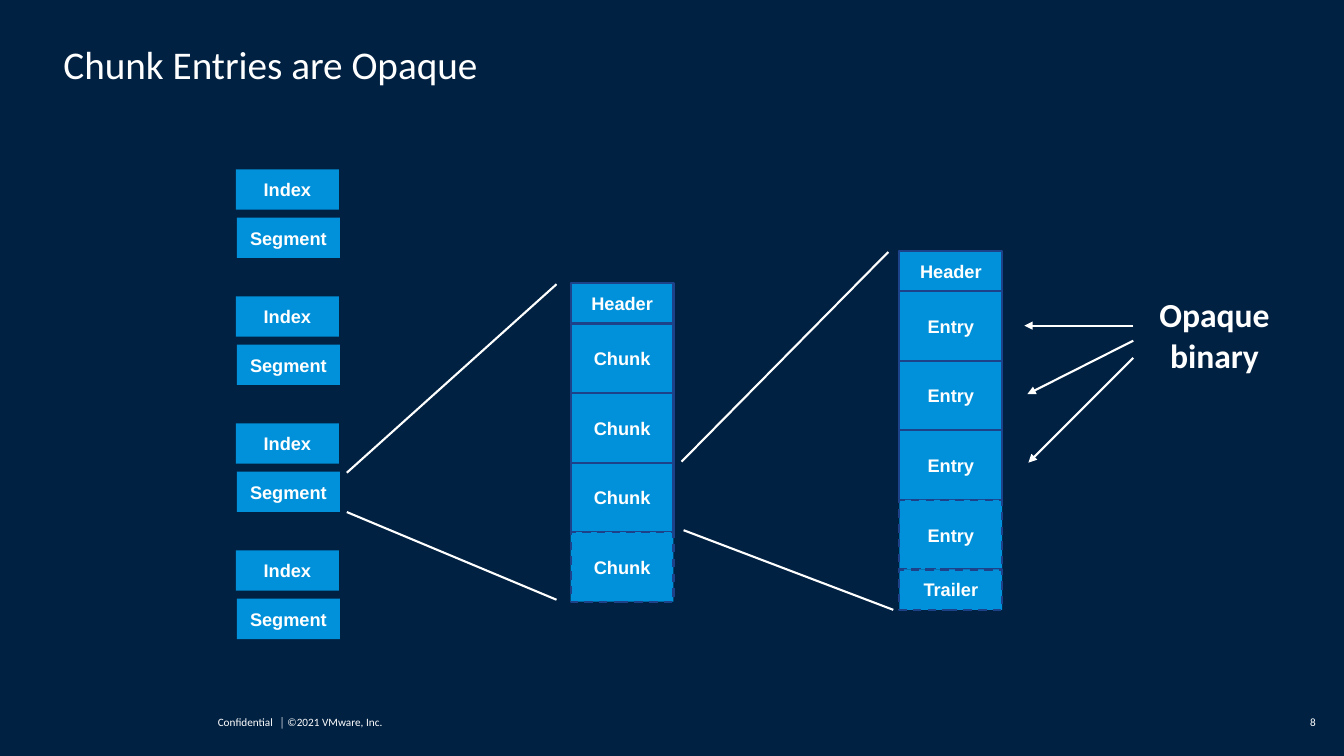
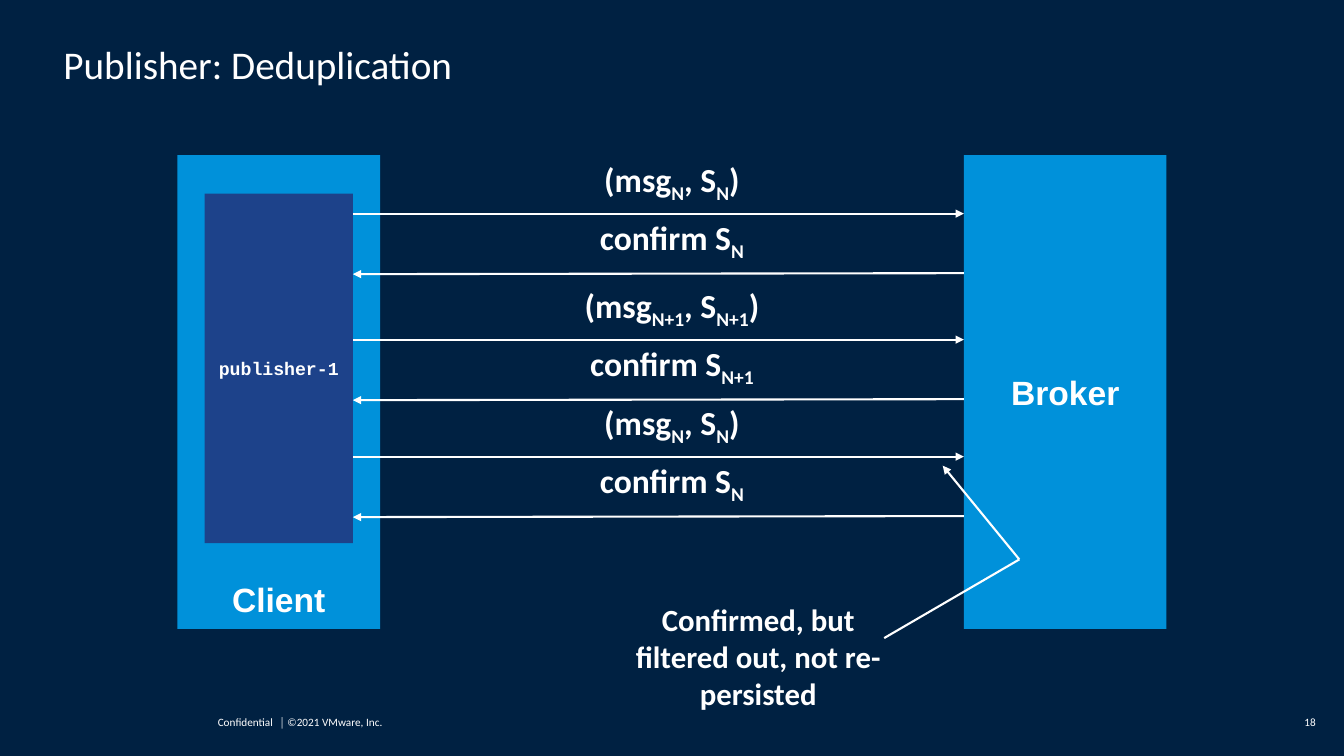
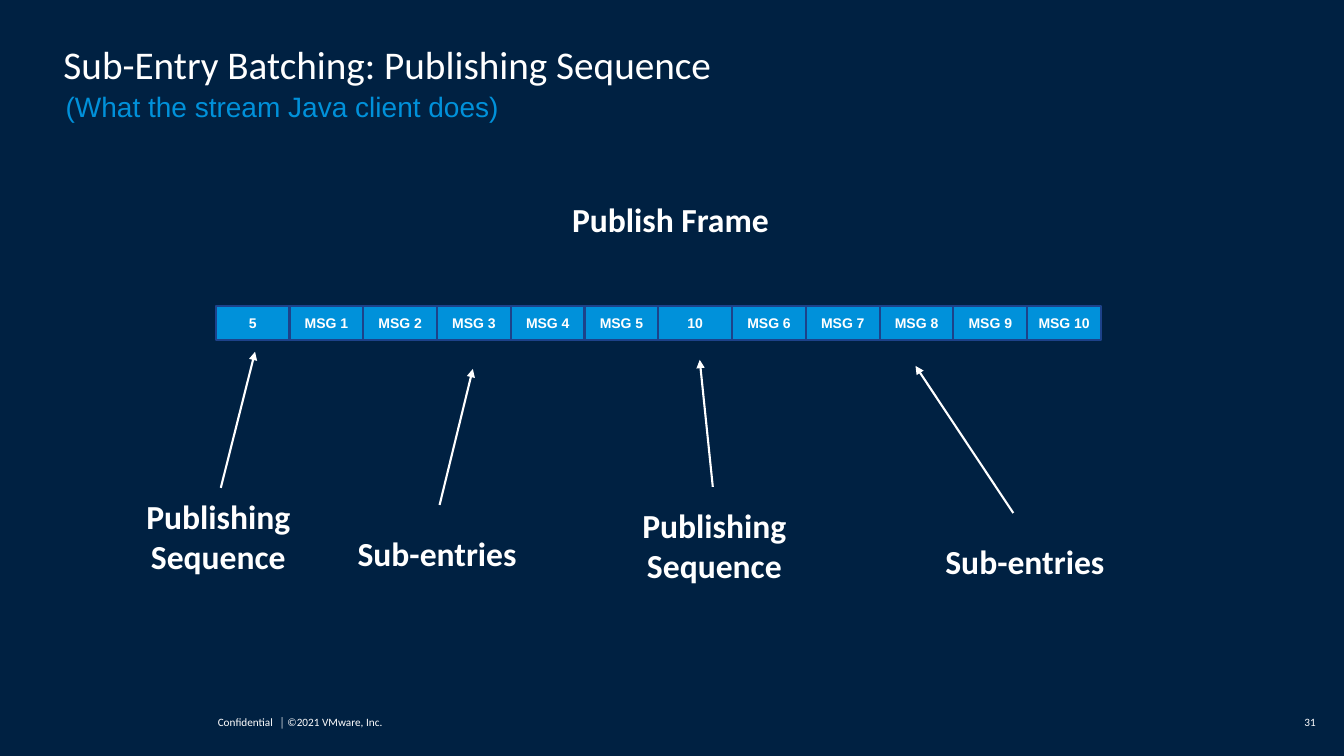
"""Build three slides on stream chunks, publisher deduplication and sub-entry batching."""
from lxml import etree
from pptx import Presentation
from pptx import util as u
from pptx.dml.color import RGBColor
from pptx.enum import dml, shapes, text
from pptx.oxml.ns import qn

COLOURS = {"navy": "002142", "blue": "0091DA", "indigo": "1D428A", "white": "FFFFFF"}
LEFT, CENTER, RIGHT = text.PP_ALIGN.LEFT, text.PP_ALIGN.CENTER, text.PP_ALIGN.RIGHT
TOP, MIDDLE, BOTTOM = text.MSO_ANCHOR.TOP, text.MSO_ANCHOR.MIDDLE, text.MSO_ANCHOR.BOTTOM


def colour(name):
    return RGBColor.from_string(COLOURS[name])


class Deck:
    def __init__(self):
        self.presentation = Presentation()
        self.presentation.slide_width = u.Inches(13.33)
        self.presentation.slide_height = u.Inches(7.5)
        background = self.presentation.slide_master.background.fill
        background.solid()
        background.fore_color.rgb = colour("navy")
        self.slide = None

    def new_slide(self, title, number):
        self.slide = self.presentation.slides.add_slide(self.presentation.slide_layouts[6])
        footer = dict(size=8, bold=False, inset=0, spacing=0.9)
        self.label(2.16, 7.07, 1.89, 0.2, ["Confidential\t│ ©2021 VMware, Inc."],
                   align=LEFT, tab=0.61, **footer)
        self.label(12.57, 7.07, 0.48, 0.2, [str(number)], align=RIGHT, **footer)
        self.label(0.63, 0.45, 12.03, 0.42, [title], size=28, bold=False, inset=0,
                   spacing=0.9, align=LEFT, anchor=BOTTOM)

    def set_text(self, shape, paragraphs, size, font="Calibri", ink="white", bold=True,
                 align=CENTER, anchor=MIDDLE, inset=0.1, spacing=None, tab=None):
        frame = shape.text_frame
        frame.word_wrap = True
        frame.vertical_anchor = anchor
        frame.margin_left = frame.margin_right = u.Inches(inset)
        frame.margin_top = frame.margin_bottom = u.Inches(inset)
        for index, content in enumerate(paragraphs):
            paragraph = frame.add_paragraph() if index else frame.paragraphs[0]
            paragraph.alignment = align
            if spacing:
                paragraph.line_spacing = spacing
            if tab:
                stops = etree.SubElement(paragraph._p.get_or_add_pPr(), qn("a:tabLst"))
                etree.SubElement(stops, qn("a:tab"), pos=str(u.Inches(tab)), algn="l")
            paragraph.font.size = u.Pt(size)
            paragraph.font.name = font
            paragraph.font.bold = bold
            paragraph.font.color.rgb = colour(ink)
            parts = [content] if isinstance(content, str) else content
            for position, part in enumerate(parts):
                run = paragraph.add_run()
                run.text = part
                if position % 2:
                    run._r.get_or_add_rPr().set("baseline", "-25000")

    def label(self, left, top, width, height, paragraphs, size=24, **style):
        shape = self.slide.shapes.add_textbox(
            u.Inches(left), u.Inches(top), u.Inches(width), u.Inches(height))
        self.set_text(shape, paragraphs, size, **style)

    def box(self, left, top, width, height, caption, size=13, fill="blue", outline=False,
            dashed=False, font="Arial", anchor=MIDDLE):
        shape = self.slide.shapes.add_shape(
            shapes.MSO_SHAPE.RECTANGLE,
            u.Inches(left), u.Inches(top), u.Inches(width), u.Inches(height))
        shape.shadow.inherit = False
        shape.fill.solid()
        shape.fill.fore_color.rgb = colour(fill)
        if outline:
            shape.line.color.rgb = colour("indigo")
            shape.line.width = u.Pt(1.5)
            if dashed:
                shape.line.dash_style = dml.MSO_LINE.DASH
        else:
            shape.line.fill.background()
        self.set_text(shape, [caption], size, font=font, anchor=anchor)

    def line(self, start, end, arrow=False):
        connector = self.slide.shapes.add_connector(
            shapes.MSO_CONNECTOR.STRAIGHT, *(u.Inches(value) for value in (*start, *end)))
        connector.line.color.rgb = colour("white")
        connector.line.width = u.Pt(1.5)
        if arrow:
            etree.SubElement(connector.line._get_or_add_ln(), qn("a:tailEnd"), type="triangle")
        etree.SubElement(connector._element.spPr, qn("a:effectLst"))

    def stack(self, left, top, cells):
        for caption, height, dashed in cells:
            self.box(left, top, 1.02, height, caption, outline=True, dashed=dashed)
            top += height


def chunk_slide(deck):
    deck.new_slide("Chunk Entries are Opaque", 8)
    for row in range(4):
        top = 1.68 + 1.26 * row
        deck.box(2.34, top, 1.02, 0.4, "Index")
        deck.box(2.35, top + 0.48, 1.02, 0.4, "Segment")
    header = ("Header", 0.4, False)
    deck.stack(5.66, 2.81, [header] + [("Chunk", 0.69, row == 3) for row in range(4)])
    deck.stack(8.92, 2.49, [header] + [("Entry", 0.69, row == 3) for row in range(4)]
               + [("Trailer", 0.4, True)])
    for start, end in [((3.44, 4.69), (5.52, 2.82)), ((3.44, 5.08), (5.52, 5.95)),
                       ((6.76, 4.58), (8.81, 2.5)), ((6.78, 5.26), (8.86, 6.05))]:
        deck.line(start, end)
    deck.label(10.8, 3.1, 2.49, 0.44, ["Opaque", "binary"])
    for start_y, tip in [(3.23, (10.16, 3.23)), (3.38, (10.19, 3.91)), (3.55, (10.2, 4.59))]:
        deck.line((11.24, start_y), tip, arrow=True)


def deduplication_slide(deck):
    deck.new_slide("Publisher: Deduplication", 18)
    deck.box(1.76, 1.54, 2.01, 4.7, "Client", size=24, anchor=BOTTOM)
    deck.box(9.56, 1.54, 2.01, 4.7, "Broker", size=24)
    deck.box(2.03, 1.92, 1.47, 3.47, "publisher-1", fill="indigo", font="Courier New")
    for offset, sequence in [(0, "N"), (1.25, "N+1"), (2.41, "N")]:
        deck.label(5.1, 1.58 + offset, 3.13, 0.44, [("(msg", sequence, ", S", sequence, ")")])
        deck.line((3.5, 2.12 + offset), (9.56, 2.12 + offset), arrow=True)
        deck.label(5.1, 2.16 + offset, 3.13, 0.44, [("confirm S", sequence)])
        deck.line((9.56, 2.71 + offset), (3.5, 2.72 + offset), arrow=True)
    deck.label(6.16, 6.29, 2.72, 0.44, ["Confirmed, but filtered out, not re-persisted"], size=22)
    deck.line((8.77, 6.33), (10.11, 5.55))
    deck.line((10.11, 5.55), (9.35, 4.62), arrow=True)


def batching_slide(deck):
    deck.new_slide("Sub-Entry Batching: Publishing Sequence", 31)
    deck.label(0.65, 0.89, 11.99, 0.27, ["(What the stream Java client does)"], size=20,
               font="Arial", ink="blue", bold=False, align=LEFT, anchor=TOP, inset=0)
    deck.label(5.29, 1.95, 2.72, 0.44, ["Publish Frame"])
    messages = [f"MSG {number}" for number in range(1, 11)]
    cell_width = 8.78 / 12
    for column, caption in enumerate(["5", *messages[:5], "10", *messages[5:]]):
        deck.box(2.14 + cell_width * column, 3.04, cell_width, 0.33, caption, size=10,
                 outline=True)
    for left, top, caption, start, tip in [
            (0.92, 5.1, "Publishing Sequence", (2.19, 4.84), (2.53, 3.49)),
            (3.09, 5.27, "Sub-entries", (4.36, 5.01), (4.69, 3.66)),
            (5.84, 5.19, "Publishing Sequence", (7.07, 4.83), (6.94, 3.57)),
            (8.92, 5.35, "Sub-entries", (10.05, 5.09), (9.08, 3.63))]:
        deck.label(left, top, 2.49, 0.44, [caption])
        deck.line(start, tip, arrow=True)


def main():
    deck = Deck()
    chunk_slide(deck)
    deduplication_slide(deck)
    batching_slide(deck)
    deck.presentation.save("out.pptx")


if __name__ == "__main__":
    main()
